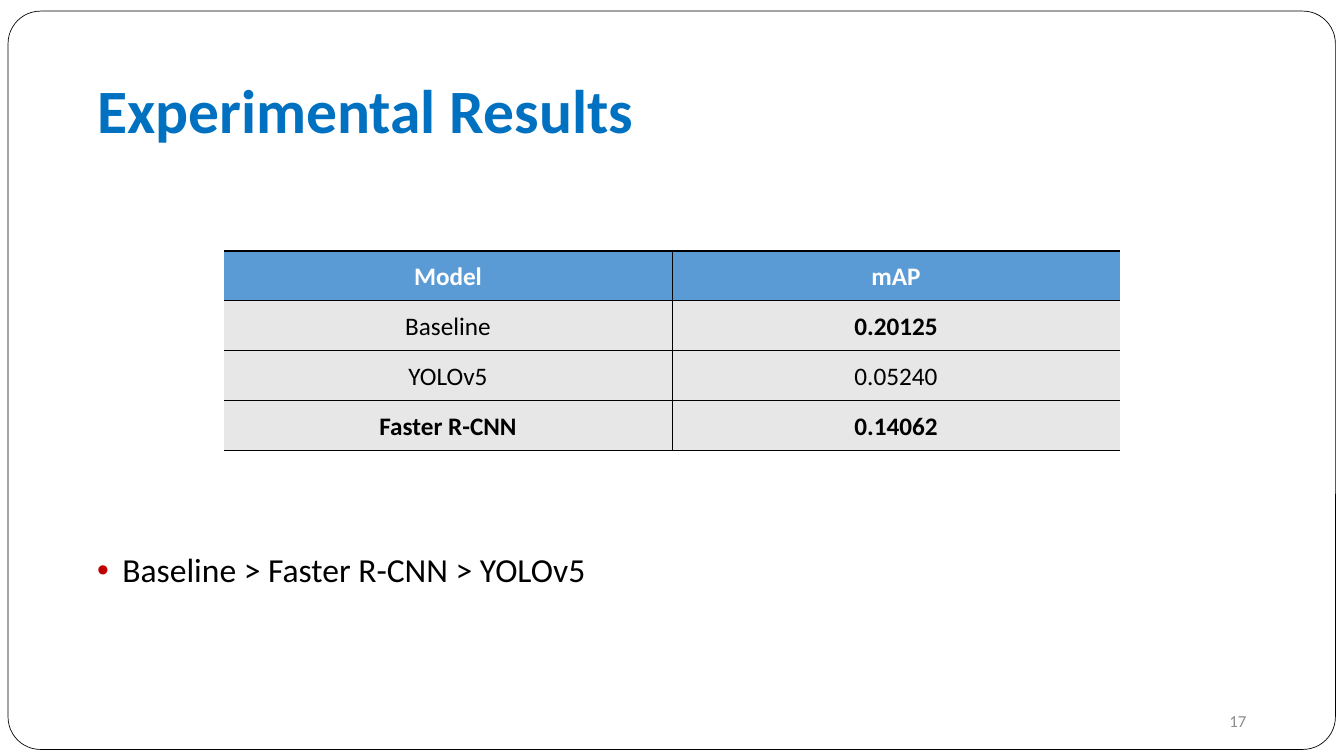
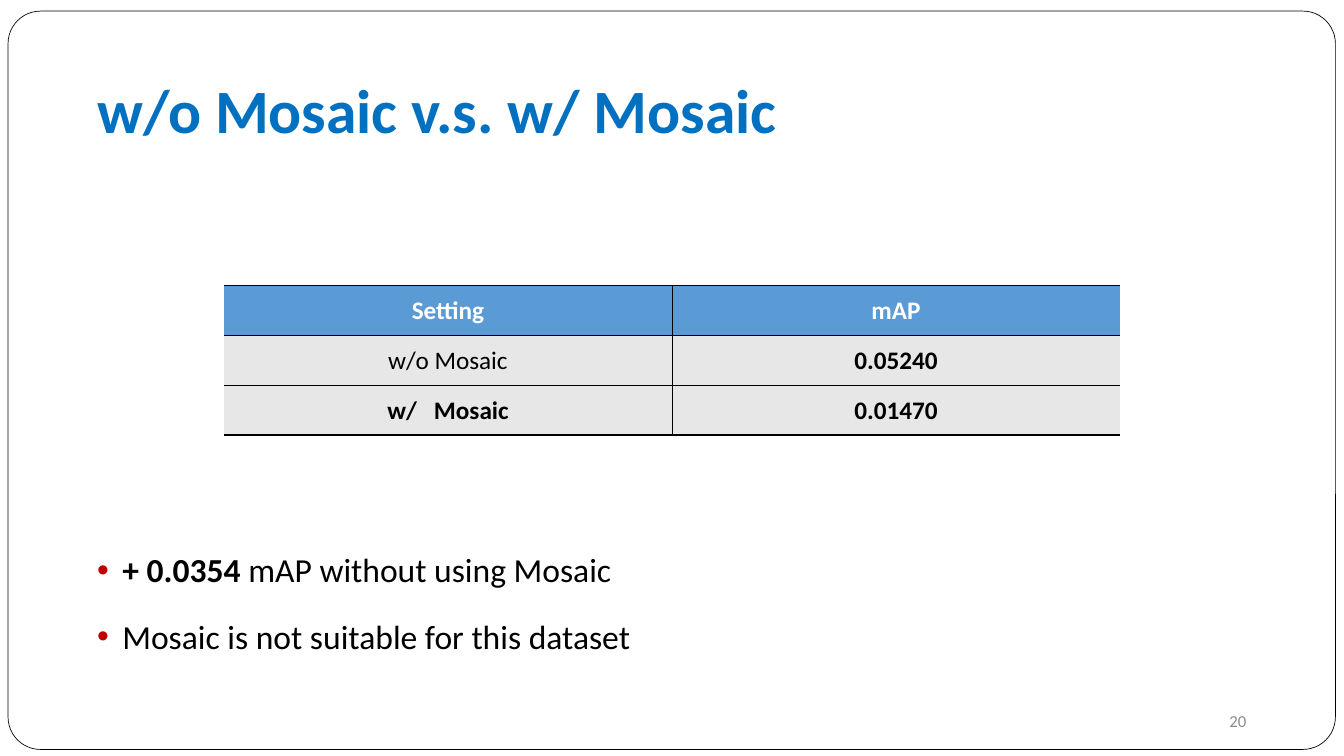
"""Build two result slides, each with a table and bullet points."""
import pptx
import pptx.dml.color
import pptx.enum.shapes
import pptx.enum.text
import pptx.oxml.ns
import pptx.util
import lxml.etree

Inches = pptx.util.Inches
Pt = pptx.util.Pt
RGBColor = pptx.dml.color.RGBColor
ALIGN = pptx.enum.text.PP_ALIGN
MIDDLE = pptx.enum.text.MSO_ANCHOR.MIDDLE
TOP = pptx.enum.text.MSO_ANCHOR.TOP

SLIDES = [
    {
        "title": "Experimental Results",
        "page": "17",
        "top": 4.98,
        "rows": [
            [("Model", True), ("mAP", True)],
            [("Baseline", False), ("0.20125", True)],
            [("YOLOv5", False), ("0.05240", False)],
            [("Faster R-CNN", True), ("0.14062", True)],
        ],
        "points": [[("Baseline > Faster R-CNN > YOLOv5", False)]],
    },
    {
        "title": "w/o Mosaic v.s. w/ Mosaic",
        "page": "20",
        "top": 5.66,
        "rows": [
            [("Setting", True), ("mAP", True)],
            [("w/o Mosaic", False), ("0.05240", True)],
            [("w/   Mosaic", True), ("0.01470", True)],
        ],
        "points": [
            [("+ 0.0354 ", True), ("mAP without using Mosaic", False)],
            [("Mosaic is not suitable for this dataset", False)],
        ],
    },
]

FONT = "Calibri"
BLACK = RGBColor(0, 0, 0)
WHITE = RGBColor(255, 255, 255)
BLUE = RGBColor(0x00, 0x70, 0xC0)
HEAD = RGBColor(0x5B, 0x9B, 0xD5)
PALE = RGBColor(0xE7, 0xE7, 0xE7)
GREY = RGBColor(0x8C, 0x8C, 0x8C)
RED = RGBColor(0xC0, 0x00, 0x00)

WIDE, HIGH = 26.67, 15
LEFT, SPAN, TALL = 1.83, 23, 2.9
COL, ROW = 8.89, 0.99
THIN, THICK = 1, 2


def node(parent, tag, **attrs):
    return lxml.etree.SubElement(parent, pptx.oxml.ns.qn("a:" + tag), attrs)


def style(para, size, color, bold=False):
    for run in para.runs:
        run.font.name = FONT
        run.font.size = Pt(size)
        run.font.color.rgb = color
        run.font.bold = bold


def add_box(slide, left, top, width, height, anchor=MIDDLE):
    box = slide.shapes.add_textbox(*map(Inches, (left, top, width, height)))
    frame = box.text_frame
    frame.word_wrap = True
    frame.vertical_anchor = anchor
    return frame


def add_frame(slide):
    frame = slide.shapes.add_shape(
        pptx.enum.shapes.MSO_SHAPE.ROUNDED_RECTANGLE,
        Inches(0.16), Inches(0.22), Inches(26.34), Inches(14.65))
    frame.adjustments[0] = 0.044
    frame.shadow.inherit = False
    frame.fill.background()
    frame.line.color.rgb = BLACK
    frame.line.width = Pt(1)


def add_title(slide, text):
    para = add_box(slide, LEFT, 0.8, SPAN, TALL).paragraphs[0]
    para.text = text
    para.line_spacing = 0.9
    style(para, 88, BLUE, True)


def add_page(slide, text):
    para = add_box(slide, 18.83, 13.9, 6, 0.8).paragraphs[0]
    para.text = text
    para.alignment = ALIGN.RIGHT
    style(para, 24, GREY)


def add_points(slide, points):
    frame = add_box(slide, LEFT, 10.61, SPAN, TALL, TOP)
    for i, parts in enumerate(points):
        para = frame.add_paragraph() if i else frame.paragraphs[0]
        para.alignment = ALIGN.JUSTIFY
        para.line_spacing = 1.3
        para.space_before = Pt(20)
        for text, bold in parts:
            run = para.add_run()
            run.text = text
        style(para, 48, BLACK)
        for run, (text, bold) in zip(para.runs, parts):
            run.font.bold = bold
        props = para._p.get_or_add_pPr()
        props.set("marL", str(Inches(0.5)))
        props.set("indent", str(Inches(-0.5)))
        node(node(props, "buClr"), "srgbClr", val=str(RED))
        node(props, "buFont", typeface="Arial")
        node(props, "buChar", char="•")


def add_edge(cell, tag, width):
    props = cell._tc.get_or_add_tcPr()
    line = node(props, tag, w=str(Pt(width)))
    if width:
        node(node(line, "solidFill"), "srgbClr", val=str(BLACK))
    else:
        node(line, "noFill")


def add_table(slide, top, rows):
    wide, last = len(rows[0]), len(rows) - 1
    table = slide.shapes.add_table(
        len(rows), wide, Inches((WIDE - wide * COL) / 2), Inches(top),
        Inches(wide * COL), Inches(len(rows) * ROW)).table
    table.horz_banding = False
    for r, row in enumerate(rows):
        table.rows[r].height = Inches(ROW)
        for c, (text, bold) in enumerate(row):
            cell = table.cell(r, c)
            add_edge(cell, "lnL", THIN if c else 0)
            add_edge(cell, "lnR", THIN if c < wide - 1 else 0)
            add_edge(cell, "lnT", THICK if r < 2 else THIN)
            add_edge(cell, "lnB", THICK if r in (0, last) else THIN)
            cell.fill.solid()
            cell.fill.fore_color.rgb = PALE if r else HEAD
            cell.vertical_anchor = MIDDLE
            cell.margin_left = cell.margin_right = Inches(0.07)
            cell.margin_top = cell.margin_bottom = 0
            para = cell.text_frame.paragraphs[0]
            para.text = text
            para.alignment = ALIGN.CENTER
            para.line_spacing = 1.07
            style(para, 36, BLACK if r else WHITE, bold)


def main():
    deck = pptx.Presentation()
    deck.slide_width, deck.slide_height = Inches(WIDE), Inches(HIGH)
    for data in SLIDES:
        slide = deck.slides.add_slide(deck.slide_layouts[6])
        add_frame(slide)
        add_title(slide, data["title"])
        add_page(slide, data["page"])
        add_points(slide, data["points"])
        add_table(slide, data["top"], data["rows"])
    deck.save("out.pptx")


if __name__ == "__main__":
    main()
